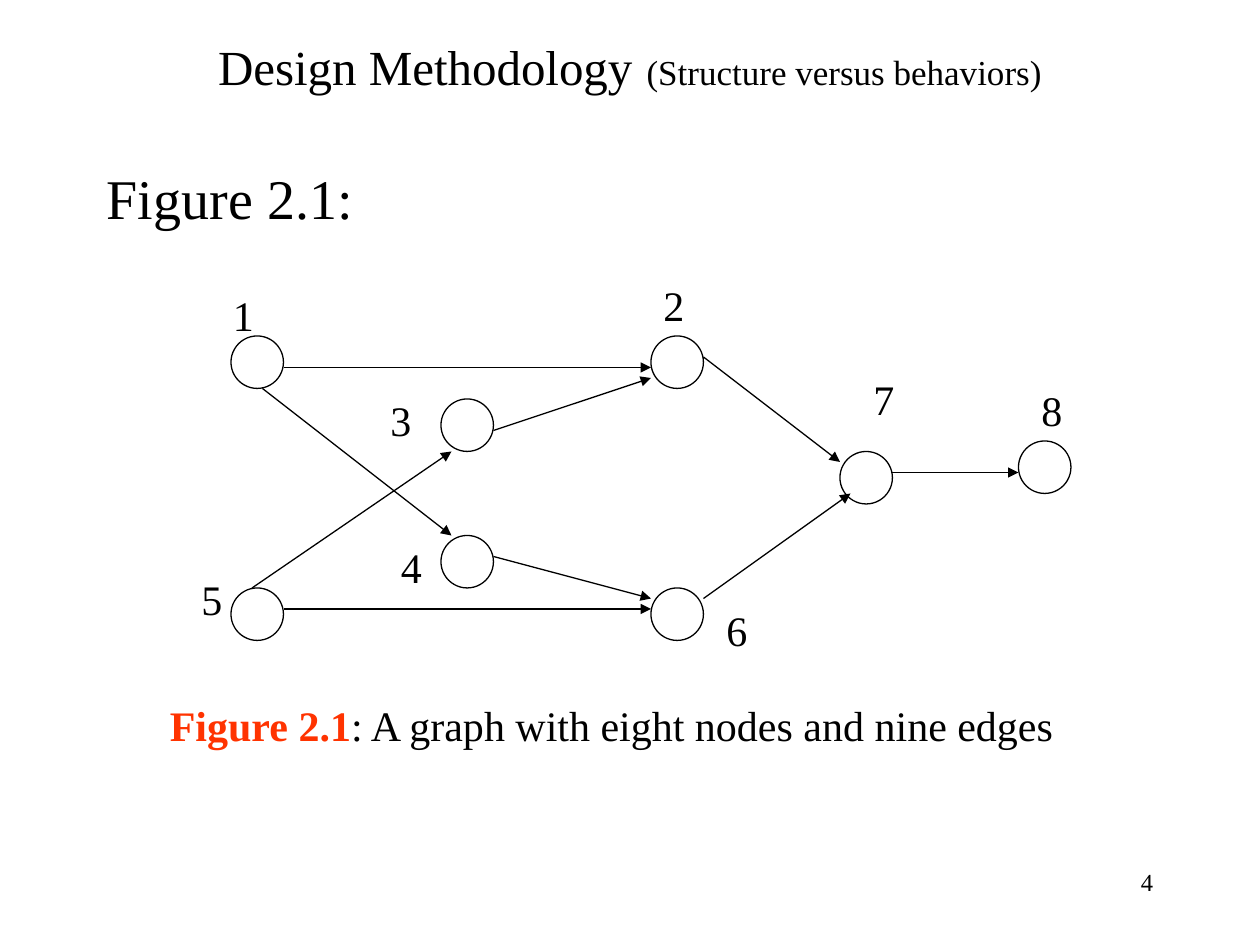
from dataclasses import dataclass

from lxml import etree
from pptx import Presentation
from pptx.dml.color import RGBColor
from pptx.enum.shapes import MSO_CONNECTOR, MSO_SHAPE
from pptx.enum.text import MSO_ANCHOR, PP_ALIGN
from pptx.oxml.ns import qn
from pptx.util import Cm, Pt

ELLIPSE = MSO_SHAPE.OVAL
STRAIGHT = MSO_CONNECTOR.STRAIGHT
MIDDLE = MSO_ANCHOR.MIDDLE
LEFT, CENTER, RIGHT = PP_ALIGN.LEFT, PP_ALIGN.CENTER, PP_ALIGN.RIGHT
TITLE_ONLY = 5
GRID_STEP = 2.54 / 12
NODE_SIZE = 5
LABEL_SIZE = (4, 6)

NODES = {
    "1": ((22, 32), (21, 27)),
    "2": ((62, 32), (62, 26)),
    "3": ((42, 38), (36, 37)),
    "4": ((42, 51), (37, 51)),
    "5": ((22, 56), (18, 54)),
    "6": ((62, 56), (68, 57)),
    "7": ((80, 43), (82, 35)),
    "8": ((97, 42), (98, 36)),
}
EDGES = [
    ((27, 35), (62, 35)),
    ((27, 58), (62, 58)),
    ((25, 37), (43, 51)),
    ((24, 56), (43, 43)),
    ((47, 41), (62, 36)),
    ((47, 53), (62, 57)),
    ((67, 34), (80, 44)),
    ((67, 57), (81, 47)),
    ((85, 45), (97, 45)),
]


@dataclass(frozen=True)
class Theme:
    font: str = "Times New Roman"
    ink: RGBColor = RGBColor(0, 0, 0)
    paper: RGBColor = RGBColor(255, 255, 255)
    accent: RGBColor = RGBColor(255, 51, 0)
    title: int = 28
    title_gap: int = 32
    subtitle: int = 20
    heading: int = 32
    body: int = 24
    number: int = 14
    line: float = 0.75


def grid(*steps):
    return [Cm(step * GRID_STEP) for step in steps]


class SlideBuilder:
    def __init__(self, slide, theme):
        self.slide = slide
        self.theme = theme

    def add_spans(self, paragraph, spans, align):
        paragraph.alignment = align
        for text, size, color, bold in spans:
            span = paragraph.add_run()
            span.text = text
            span.font.name = self.theme.font
            span.font.size = Pt(size)
            span.font.color.rgb = color
            span.font.bold = bold

    def title(self, bounds, spans):
        box = self.slide.shapes.title
        box.left, box.top, box.width, box.height = grid(*bounds)
        box.text_frame.vertical_anchor = MIDDLE
        self.add_spans(box.text_frame.paragraphs[0], spans, CENTER)

    def text(self, bounds, spans, align=LEFT):
        box = self.slide.shapes.add_textbox(*grid(*bounds))
        box.text_frame.word_wrap = True
        self.add_spans(box.text_frame.paragraphs[0], spans, align)

    def node(self, position):
        circle = self.slide.shapes.add_shape(
            ELLIPSE, *grid(*position, NODE_SIZE, NODE_SIZE))
        circle.shadow.inherit = False
        circle.fill.solid()
        circle.fill.fore_color.rgb = self.theme.paper
        circle.line.color.rgb = self.theme.ink
        circle.line.width = Pt(self.theme.line)

    def arrow(self, start, end):
        edge = self.slide.shapes.add_connector(STRAIGHT, *grid(*start, *end))
        edge.line.color.rgb = self.theme.ink
        edge.line.width = Pt(self.theme.line)
        properties = edge._element.spPr
        etree.SubElement(properties.find(qn("a:ln")), qn("a:tailEnd"), type="triangle")
        etree.SubElement(properties, qn("a:effectLst"))


def main():
    theme = Theme()
    deck = Presentation()
    deck.slide_width, deck.slide_height = grid(120, 90)
    page = SlideBuilder(deck.slides.add_slide(deck.slide_layouts[TITLE_ONLY]), theme)

    page.title((9, 2, 102, 8), [
        ("Design Methodology", theme.title, theme.ink, False),
        (" ", theme.title_gap, theme.ink, False),
        ("(Structure versus behaviors)", theme.subtitle, theme.ink, False),
    ])
    page.text((9, 15, 102, 65), [("Figure 2.1:", theme.heading, theme.ink, False)])
    for position, _ in NODES.values():
        page.node(position)
    for start, end in EDGES:
        page.arrow(start, end)
    for name, (_, position) in NODES.items():
        page.text((*position, *LABEL_SIZE), [(name, theme.body, theme.ink, False)])
    page.text((15, 66, 91, 6), [
        ("Figure 2.1", theme.body, theme.accent, True),
        (": A graph with eight nodes and nine edges", theme.body, theme.ink, False),
    ])
    page.text((86, 82, 25, 6), [("4", theme.number, theme.ink, False)], RIGHT)

    deck.save("out.pptx")


if __name__ == "__main__":
    main()
